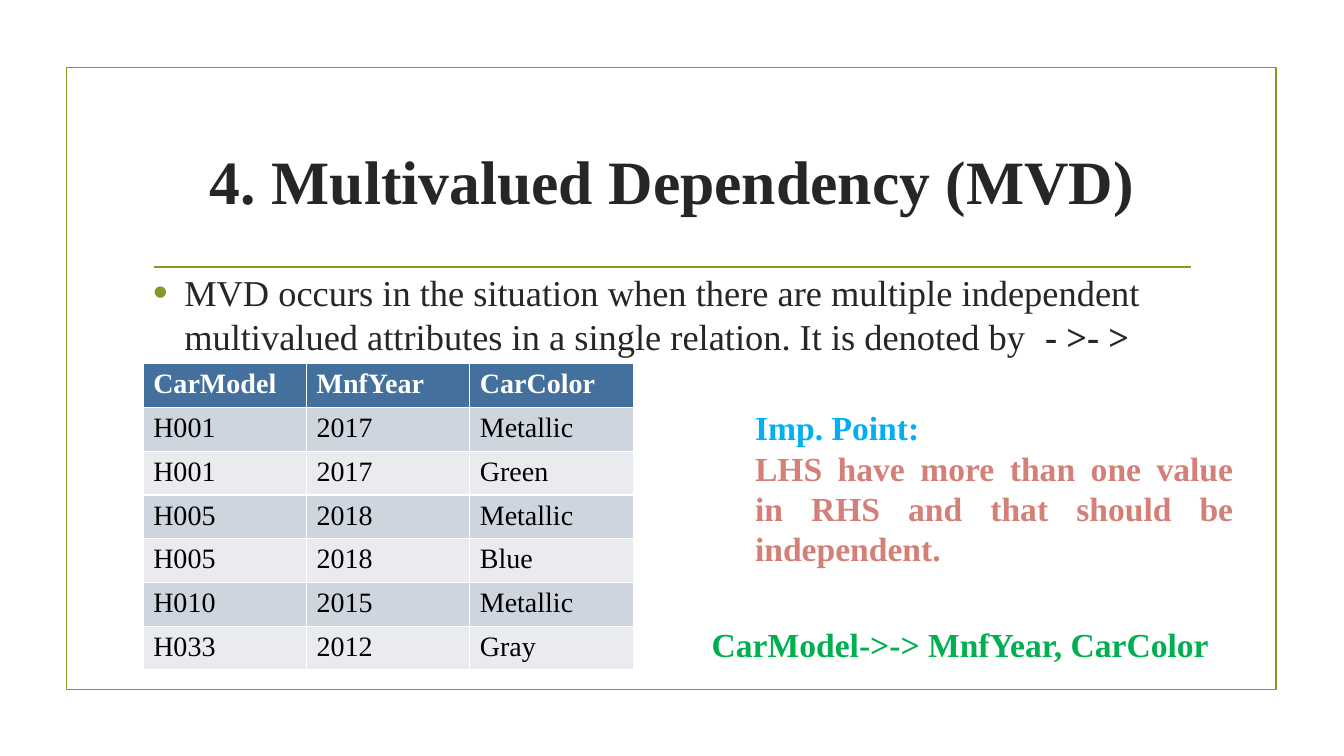
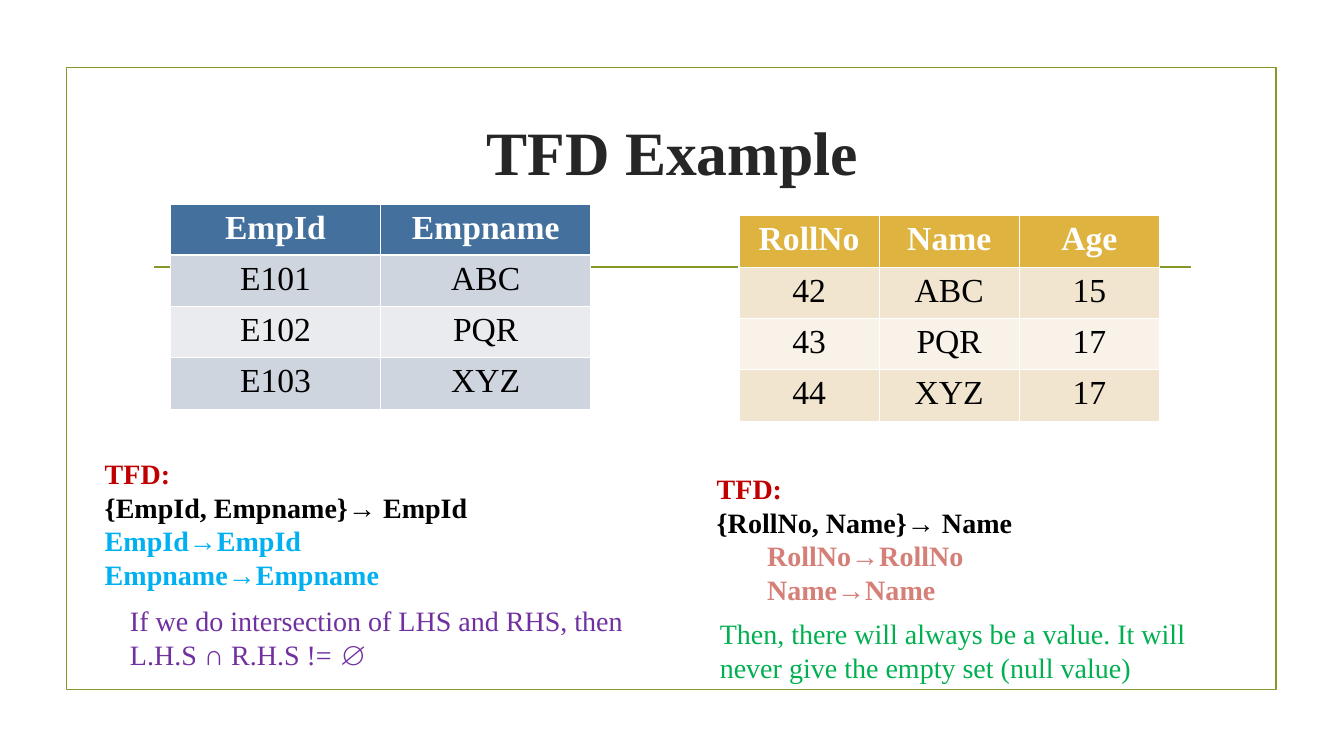
"""Builds two slides on multivalued and trivial functional dependencies."""
from dataclasses import dataclass

from lxml import etree
from pptx import Presentation
from pptx.dml.color import RGBColor
from pptx.enum.shapes import MSO_CONNECTOR, MSO_SHAPE
from pptx.enum.text import MSO_ANCHOR, PP_ALIGN
from pptx.oxml.ns import qn
from pptx.util import Pt

PX = 9144


@dataclass(frozen=True)
class Theme:
    """Colours, font and type sizes used on every page."""
    font: str = "Times New Roman"
    accent: str = "83992A"
    ink: str = "262626"
    black: str = "000000"
    white: str = "FFFFFF"
    red: str = "C00000"
    sky: str = "00B0F0"
    rose: str = "D47F77"
    green: str = "00B050"
    purple: str = "7030A0"
    blue_table: tuple = ("44709D", "CFD5DF", "E9EBEF")
    gold_table: tuple = ("DEB340", "F2E5CF", "F9F2E8")
    title: int = 44
    body: int = 26
    large: int = 24
    small: int = 20


THEME = Theme()


def px(*lengths):
    """Turn px lengths into EMU."""
    return [length * PX for length in lengths]


def style_span(span, size, colour, bold=False):
    """Set the font of one run."""
    span.font.name = THEME.font
    span.font.size = Pt(size)
    span.font.bold = bold
    span.font.color.rgb = RGBColor.from_string(colour)


def add_span(para, text, size, colour, bold=False):
    """Append a formatted run to a paragraph."""
    span = para.add_run()
    span.text = text
    style_span(span, size, colour, bold)


def add_text(page, place, lines, size, bold=False, align=PP_ALIGN.LEFT):
    """Add a wrapped text box from (text, colour) lines."""
    box = page.shapes.add_textbox(*px(*place))
    frame = box.text_frame
    frame.word_wrap = True
    frame.text = "\n".join(text for text, _ in lines)
    for para, (_, colour) in zip(frame.paragraphs, lines):
        para.alignment = align
        style_span(para.runs[0], size, colour, bold)
    return frame


def add_bullet(para):
    """Give a paragraph a hanging round bullet in the accent colour."""
    props = para._p.get_or_add_pPr()
    props.set("marL", str(31 * PX))
    props.set("indent", str(-31 * PX))
    colour = etree.SubElement(props, qn("a:buClr"))
    etree.SubElement(colour, qn("a:srgbClr"), val=THEME.accent)
    etree.SubElement(props, qn("a:buSzPct"), val="115000")
    etree.SubElement(props, qn("a:buFont"), typeface="Arial")
    etree.SubElement(props, qn("a:buChar"), char="•")


def add_grid(page, place, rows, heights, size, fills, align=PP_ALIGN.LEFT):
    """Add a table with a coloured header and two alternating row fills."""
    left, top, width = place
    columns = len(rows[0])
    table = page.shapes.add_table(
        len(rows), columns, *px(left, top, width, sum(heights))).table
    header, odd, even = fills
    for index, (row, height) in enumerate(zip(rows, heights)):
        table.rows[index].height = height * PX
        fill = header if index == 0 else odd if index % 2 else even
        colour = THEME.white if index == 0 else THEME.black
        for cell, text in zip(table.rows[index].cells, row):
            cell.fill.solid()
            cell.fill.fore_color.rgb = RGBColor.from_string(fill)
            cell.text = text
            para = cell.text_frame.paragraphs[0]
            para.alignment = align
            style_span(para.runs[0], size, colour, bold=index == 0)


def add_page(deck, title, title_top):
    """Add a page with its frame, rule and title."""
    page = deck.slides.add_slide(deck.slide_layouts[6])
    border = page.shapes.add_shape(MSO_SHAPE.RECTANGLE, *px(66, 67, 1200, 617))
    border.shadow.inherit = False
    border.fill.background()
    rule = page.shapes.add_connector(
        MSO_CONNECTOR.STRAIGHT, *px(153, 265, 1181, 265))
    etree.SubElement(rule._element.spPr, qn("a:effectLst"))
    for outline in (border.line, rule.line):
        outline.color.rgb = RGBColor.from_string(THEME.accent)
        outline.width = Pt(1.25)
    frame = add_text(page, (142, title_top, 1050, 143), [(title, THEME.ink)],
                     THEME.title, True, PP_ALIGN.CENTER)
    frame.vertical_anchor = MSO_ANCHOR.MIDDLE
    return page


def build_multivalued(deck):
    """Build the page on multivalued dependency."""
    page = add_page(deck, "4. Multivalued Dependency (MVD)", 107)
    definition = (
        "MVD occurs in the situation when there are multiple independent "
        "multivalued attributes in a single relation. It is denoted by  ")
    frame = add_text(page, (142, 263, 1050, 95), [(definition, THEME.ink)],
                     THEME.body)
    para = frame.paragraphs[0]
    add_bullet(para)
    add_span(para, "- >- >", THEME.body, THEME.ink, True)
    cars = [
        ("CarModel", "MnfYear", "CarColor"),
        ("H001", "2017", "Metallic"),
        ("H001", "2017", "Green"),
        ("H005", "2018", "Metallic"),
        ("H005", "2018", "Blue"),
        ("H010", "2015", "Metallic"),
        ("H033", "2012", "Gray"),
    ]
    add_grid(page, (142, 361, 486), cars, [41] * len(cars), THEME.small,
             THEME.blue_table)
    add_text(page, (696, 614, 578, 50),
             [("CarModel->-> MnfYear, CarColor", THEME.green)],
             THEME.large, True)
    point = add_text(page, (739, 399, 494, 172), [
        ("Imp. Point:", THEME.sky),
        ("LHS have more than one value in RHS and that should be "
         "independent.", THEME.rose)], THEME.large, True)
    point.paragraphs[1].alignment = PP_ALIGN.JUSTIFY


def build_trivial(deck):
    """Build the page with two trivial dependency examples."""
    page = add_page(deck, "TFD Example", 78)
    employees = [("EmpId", "Empname"), ("E101", "ABC"),
                 ("E102", "PQR"), ("E103", "XYZ")]
    students = [("RollNo", "Name", "Age"), ("42", "ABC", "15"),
                ("43", "PQR", "17"), ("44", "XYZ", "17")]
    add_grid(page, (169, 203, 417), employees, [47, 51, 51, 51], THEME.large,
             THEME.blue_table, PP_ALIGN.CENTER)
    add_grid(page, (733, 214, 417), students, [51] * 4, THEME.large,
             THEME.gold_table, PP_ALIGN.CENTER)
    add_text(page, (94, 448, 491, 145), [
        ("TFD:", THEME.red),
        ("{EmpId, Empname}→ EmpId", THEME.black),
        ("EmpId→EmpId", THEME.sky),
        ("Empname→Empname", THEME.sky)], THEME.small, True)
    student_rules = add_text(page, (701, 463, 491, 145), [
        ("TFD:", THEME.red),
        ("{RollNo, Name}→ Name", THEME.black),
        ("RollNo→RollNo", THEME.rose),
        ("Name→Name", THEME.rose)], THEME.small, True)
    for para in student_rules.paragraphs[2:]:
        para.level = 1
        para._p.get_or_add_pPr().set("marL", str(50 * PX))
    overlap = add_text(page, (119, 594, 521, 77), [
        ("If we do intersection of LHS and RHS, then", THEME.purple),
        ("L.H.S ∩ R.H.S != ", THEME.purple)], THEME.small)
    add_span(overlap.paragraphs[1], "∅", THEME.small, THEME.purple, True)
    add_text(page, (704, 607, 521, 77), [
        ("Then, there will always be a value. It will never give the empty "
         "set (null value)", THEME.green)], THEME.small)


def main():
    """Build and save the deck."""
    deck = Presentation()
    deck.slide_width, deck.slide_height = px(1333, 750)
    build_multivalued(deck)
    build_trivial(deck)
    deck.save("out.pptx")


if __name__ == "__main__":
    main()
